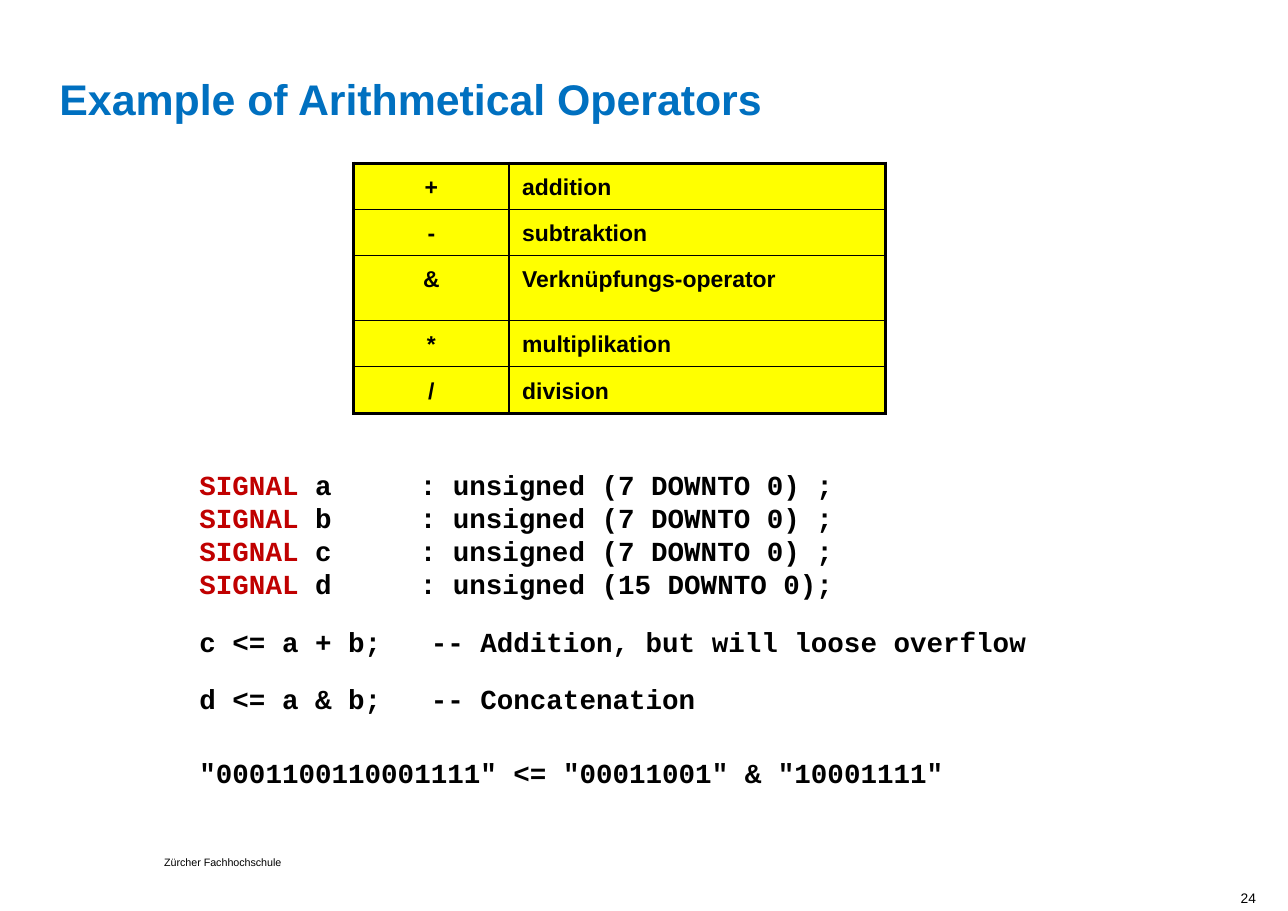
import pptx
import pptx.util
import pptx.dml.color
import pptx.enum.text
from lxml import etree
from pptx.oxml.ns import qn
from pptx.util import Inches, Pt

BLACK, RED, BLUE, YELLOW = "000000", "C00000", "0070C0", "FFFF00"
SANS, MONO = "Arial", "Courier New"
LEFT = pptx.enum.text.PP_ALIGN.LEFT
CENTER = pptx.enum.text.PP_ALIGN.CENTER
RIGHT = pptx.enum.text.PP_ALIGN.RIGHT

TITLE = "Example of Arithmetical Operators"
FOOTER = "Zürcher Fachhochschule"
PAGE = "24"
OPERATORS = [
    ("+", "addition"),
    ("-", "subtraktion"),
    ("&", "Verknüpfungs-operator"),
    ("*", "multiplikation"),
    ("/", "division"),
]
COL_WIDTHS = [1.41, 3.42]
ROW_HEIGHTS = [0.42, 0.42, 0.59, 0.42, 0.42]
SIGNALS = [
    ("a", "unsigned (7 DOWNTO 0) ;"),
    ("b", "unsigned (7 DOWNTO 0) ;"),
    ("c", "unsigned (7 DOWNTO 0) ;"),
    ("d", "unsigned (15 DOWNTO 0);"),
]
STATEMENTS = [
    ("c <= a + b;", "-- Addition, but will loose overflow"),
    ("d <= a & b;", "-- Concatenation"),
]
RESULT = '"0001100110001111" <= "00011001" & "10001111"'


def rgb(color):
    return pptx.dml.color.RGBColor.from_string(color)


def add_run(p, text, size, color=BLACK, font=SANS, bold=False):
    r = p.add_run()
    r.text = text
    r.font.name, r.font.size, r.font.bold = font, Pt(size), bold
    r.font.color.rgb = rgb(color)


def add_box(s, x, y, w, h, margins=(0, 0), wrap=True):
    tf = s.shapes.add_textbox(Inches(x), Inches(y), Inches(w), Inches(h)).text_frame
    tf.word_wrap = wrap
    tf.margin_left = tf.margin_right = Inches(margins[0])
    tf.margin_top = tf.margin_bottom = Inches(margins[1])
    return tf


def add_label(s, box, text, size, color=BLACK, bold=False, align=LEFT, spacing=None):
    p = add_box(s, *box).paragraphs[0]
    p.alignment = align
    if spacing:
        p.line_spacing = Pt(spacing)
    add_run(p, text, size, color, bold=bold)


def add_tab_stop(p, x):
    tabs = etree.SubElement(p._p.get_or_add_pPr(), qn("a:tabLst"))
    etree.SubElement(tabs, qn("a:tab"), pos=str(Inches(x)), algn="l")


def set_border(cell, side, width):
    ln = etree.SubElement(cell._tc.get_or_add_tcPr(), qn("a:ln" + side), w=str(Pt(width)))
    fill = etree.SubElement(ln, qn("a:solidFill"))
    etree.SubElement(fill, qn("a:srgbClr"), val=BLACK)


def add_operator_table(s):
    rows, cols = len(ROW_HEIGHTS), len(COL_WIDTHS)
    table = s.shapes.add_table(rows, cols, Inches(3.21), Inches(1.48),
                               Inches(sum(COL_WIDTHS)), Inches(sum(ROW_HEIGHTS))).table
    for column, width in zip(table.columns, COL_WIDTHS):
        column.width = Inches(width)
    for i, (row, height) in enumerate(zip(table.rows, ROW_HEIGHTS)):
        row.height = Inches(height)
        for j, cell in enumerate(row.cells):
            outer = {"L": j == 0, "R": j == cols - 1, "T": i == 0, "B": i == rows - 1}
            for side, is_outer in outer.items():
                set_border(cell, side, 2.25 if is_outer else 1)
            cell.fill.solid()
            cell.fill.fore_color.rgb = rgb(YELLOW)
            cell.margin_left = cell.margin_right = Inches(0.12)
            cell.margin_top = cell.margin_bottom = Inches(0.06)
            p = cell.text_frame.paragraphs[0]
            p.alignment = CENTER if j == 0 else LEFT
            p.line_spacing = 1.2
            add_run(p, OPERATORS[i][j], 15, bold=True)


def add_code(s):
    def code(p, text, color=BLACK):
        add_run(p, text, 18, color, MONO, True)

    tf = add_box(s, 1.7, 4.19, 7.92, 3.06, (0.11, 0.06), wrap=False)
    p = tf.paragraphs[0]
    add_tab_stop(p, 2)
    p.space_after = Pt(16)
    for i, (name, kind) in enumerate(SIGNALS):
        if i:
            p.add_line_break()
        code(p, "SIGNAL ", RED)
        code(p, f"{name}\t: {kind}")
    for statement, comment in STATEMENTS:
        p = tf.add_paragraph()
        add_tab_stop(p, 2.1)
        p.space_after = Pt(16)
        code(p, f"{statement}\t{comment}")
    p = tf.add_paragraph()
    p.line_spacing, p.space_after = Pt(32), Pt(16)
    code(p, RESULT)


def main():
    prs = pptx.Presentation()
    prs.slide_width, prs.slide_height = Inches(11.69), Inches(8.27)
    s = prs.slides.add_slide(prs.slide_layouts[6])
    add_label(s, (0.54, 0.68, 9.67, 0.87), TITLE, 28, BLUE, bold=True, spacing=32)
    add_operator_table(s)
    add_code(s)
    add_label(s, (1.49, 7.79, 1.32, 0.1), FOOTER, 7, spacing=7)
    add_label(s, (10.07, 8.08, 1.33, 0.15), PAGE, 9, align=RIGHT)
    prs.save("out.pptx")


if __name__ == "__main__":
    main()
